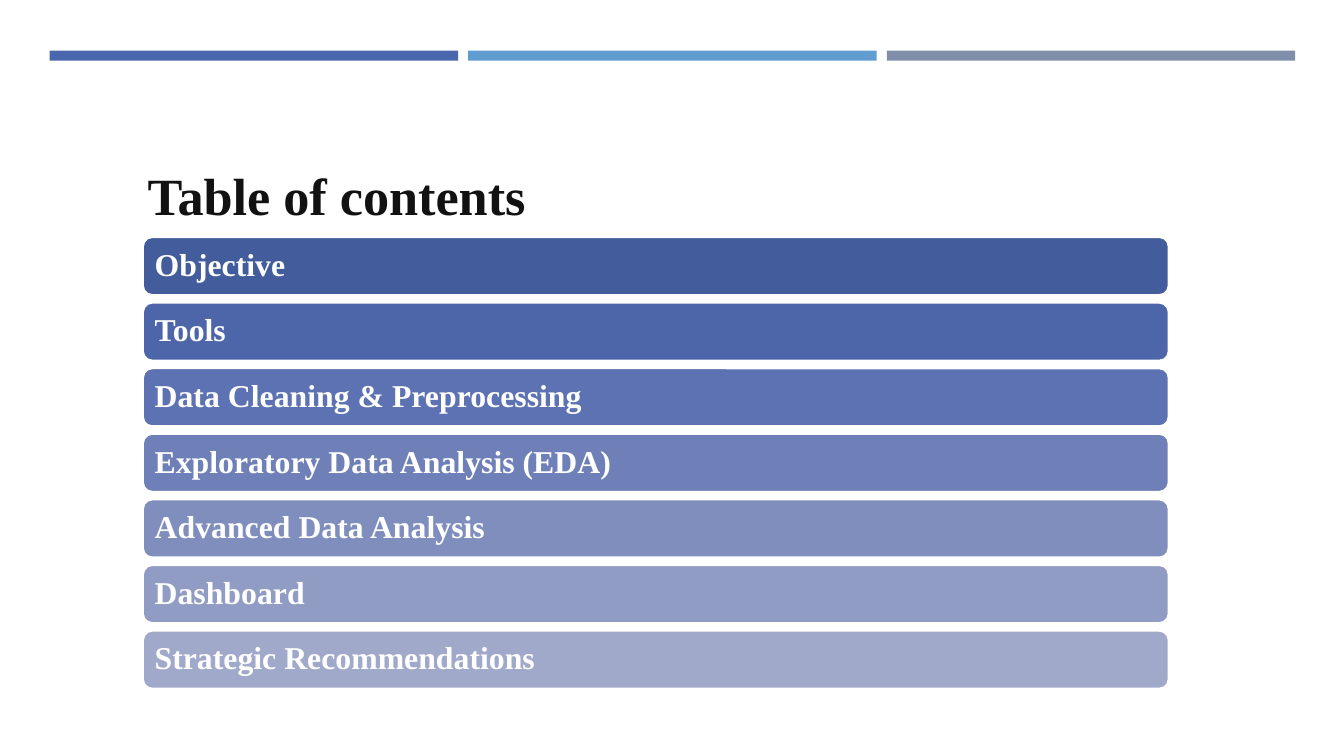
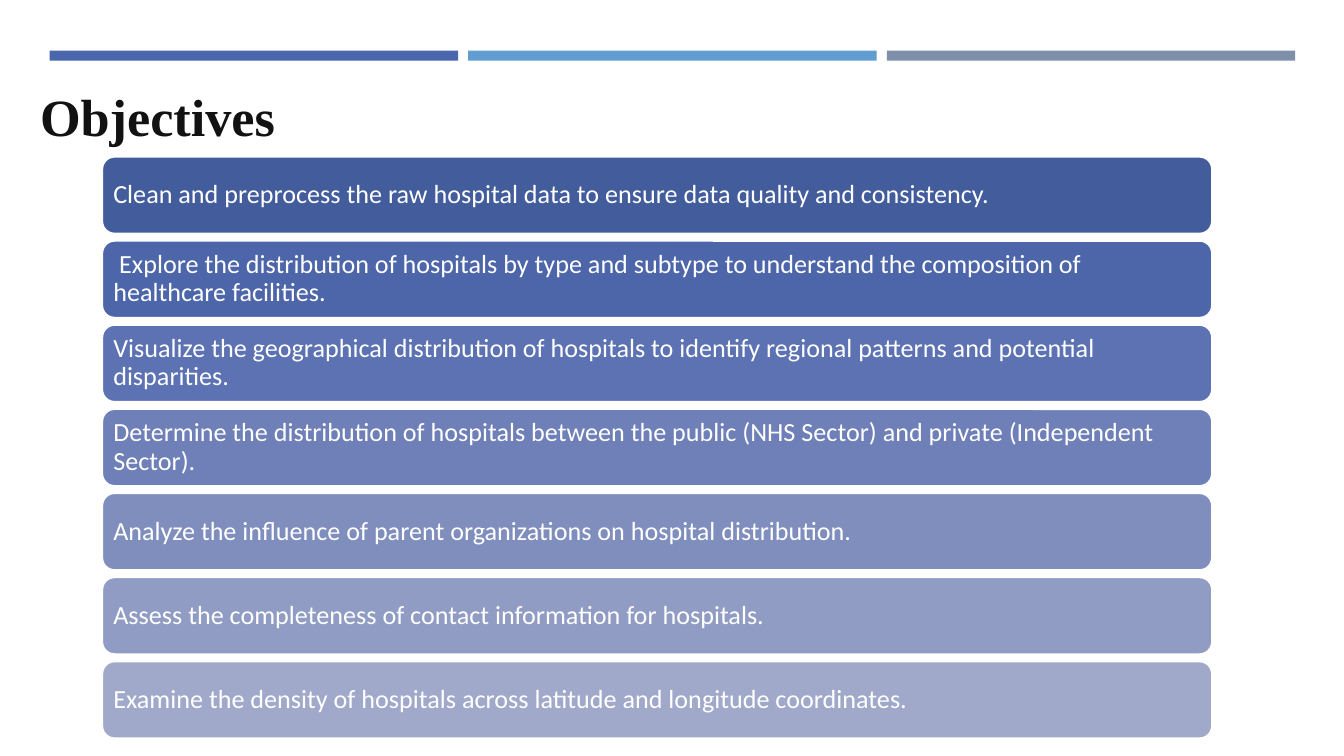
from pptx import Presentation
from pptx.dml.color import RGBColor
from pptx.enum.shapes import MSO_SHAPE
from pptx.enum.text import MSO_ANCHOR, MSO_AUTO_SIZE, PP_ALIGN
from pptx.util import Cm, Pt

RECTANGLE = MSO_SHAPE.RECTANGLE
ROUNDED = MSO_SHAPE.ROUNDED_RECTANGLE
MIDDLE = MSO_ANCHOR.MIDDLE
LEFT = PP_ALIGN.LEFT
GROW = MSO_AUTO_SIZE.SHAPE_TO_FIT_TEXT

SERIF, SANS = "Times New Roman", "Calibri"
INK, WHITE = "121212", "FFFFFF"
BAND_COLOURS = ["4A66AC", "629DD1", "7F8FA9"]
BAR_COLOURS = ["435D9C", "4D66AA", "5C72B2", "6E80B7", "7F8EBD", "909CC3", "A1A9CA"]

# Lengths are centimetres; boxes are (left, top, width, height).
SLIDES = [
    {
        "title": "Table of contents",
        "title_box": (2.54, 2.84, 20.32, 1.12),
        "first_bar": (2.69, 4.47, 19.41, 1.12),
        "pitch": 1.24,
        "inset": 0.18,
        "font": (SERIF, 17, True),
        "bars": [
            "Objective",
            "Tools",
            "Data Cleaning & Preprocessing",
            "Exploratory Data Analysis (EDA)",
            "Advanced Data Analysis",
            "Dashboard",
            "Strategic Recommendations",
        ],
    },
    {
        "title": "Objectives",
        "title_box": (0.51, 1.35, 20.32, 1.45),
        "first_bar": (1.92, 2.95, 21, 1.48),
        "pitch": 1.59,
        "inset": 0.15,
        "font": (SANS, 14, False),
        "bars": [
            "Clean and preprocess the raw hospital data to ensure data quality and consistency.",
            " Explore the distribution of hospitals by type and subtype to understand"
            " the composition of healthcare facilities.",
            "Visualize the geographical distribution of hospitals to identify regional"
            " patterns and potential disparities.",
            "Determine the distribution of hospitals between the public (NHS Sector)"
            " and private (Independent Sector).",
            "Analyze the influence of parent organizations on hospital distribution.",
            "Assess the completeness of contact information for hospitals.",
            "Examine the density of hospitals across latitude and longitude coordinates.",
        ],
    },
]


def colour(value):
    return RGBColor.from_string(value)


def add_block(page, preset, box, fill):
    shape = page.shapes.add_shape(preset, *map(Cm, box))
    shape.shadow.inherit = False
    shape.fill.solid()
    shape.fill.fore_color.rgb = colour(fill)
    shape.line.fill.background()
    return shape


def write(shape, text, font, ink, inset):
    """Put one left-aligned paragraph in the shape and return it."""
    frame = shape.text_frame
    frame.word_wrap = True
    frame.margin_left = frame.margin_right = Cm(inset)
    frame.margin_top = frame.margin_bottom = Cm(inset)
    para = frame.paragraphs[0]
    para.alignment = LEFT
    span = para.add_run()
    span.text = text
    span.font.name, size, span.font.bold = font
    span.font.size = Pt(size)
    span.font.color.rgb = colour(ink)
    return para


def add_bands(page):
    for index, fill in enumerate(BAND_COLOURS):
        add_block(page, RECTANGLE, (0.94 + index * 7.91, 0.96, 7.72, 0.19), fill)


def add_title(page, text, place):
    box = page.shapes.add_textbox(*map(Cm, place))
    write(box, text, (SERIF, 28, True), INK, 0.25)
    box.text_frame.auto_size = GROW


def add_bars(page, content):
    left, top, width, height = content["first_bar"]
    for index, (text, fill) in enumerate(zip(content["bars"], BAR_COLOURS)):
        place = (left, top + index * content["pitch"], width, height)
        bar = add_block(page, ROUNDED, place, fill)
        bar.line.color.rgb = colour(WHITE)
        bar.line.width = Pt(1.75)
        para = write(bar, text, content["font"], WHITE, content["inset"])
        para.line_spacing = 0.9
        bar.text_frame.vertical_anchor = MIDDLE


def main():
    deck = Presentation()
    deck.slide_width, deck.slide_height = Cm(25.4), Cm(14.29)
    for content in SLIDES:
        page = deck.slides.add_slide(deck.slide_layouts[6])
        add_bands(page)
        add_title(page, content["title"], content["title_box"])
        add_bars(page, content)
    deck.save("out.pptx")


if __name__ == "__main__":
    main()
